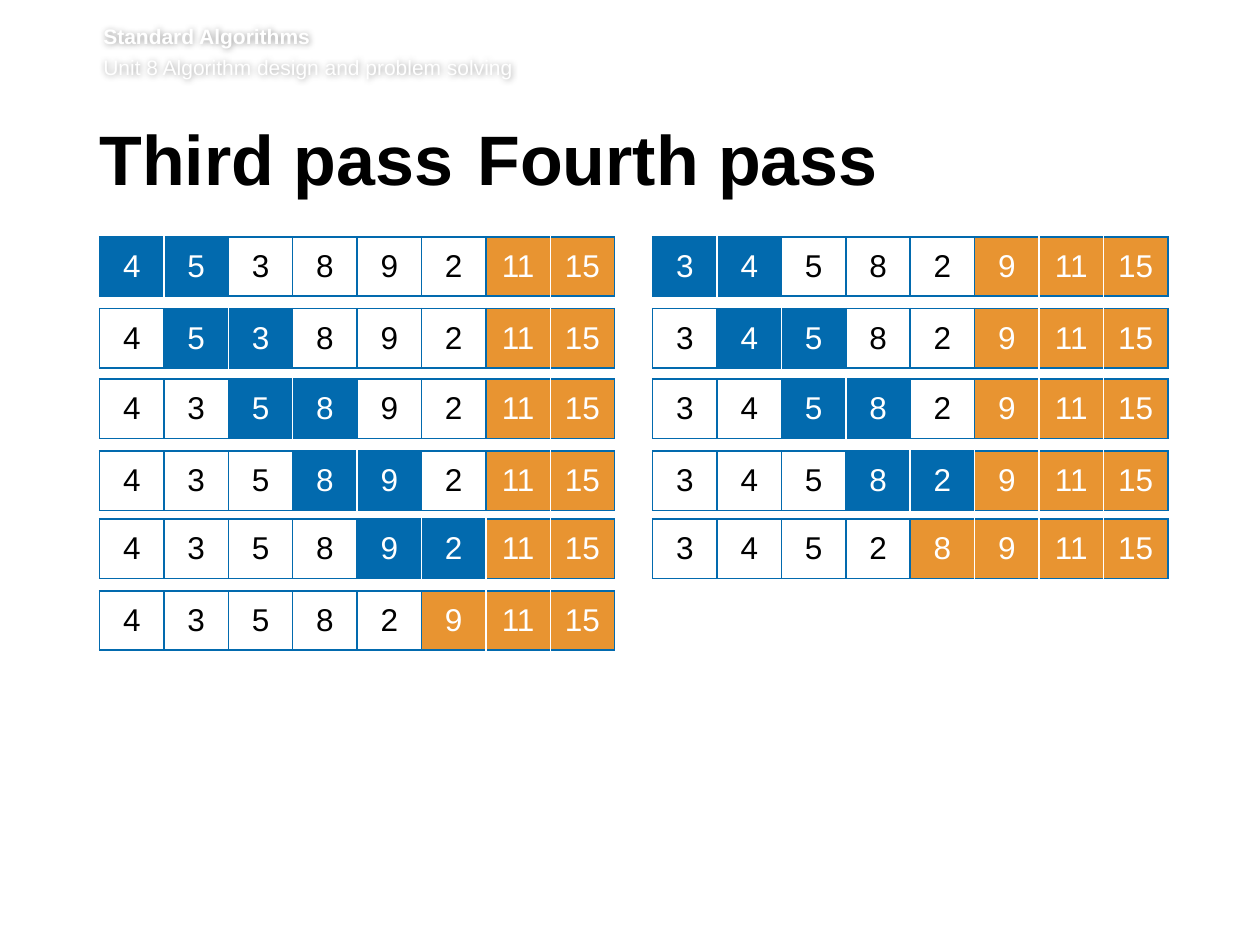
from lxml.etree import SubElement
from pptx import Presentation
from pptx.dml.color import RGBColor
from pptx.enum.text import MSO_ANCHOR, MSO_AUTO_SIZE, PP_ALIGN
from pptx.oxml import parse_xml
from pptx.oxml.ns import nsdecls, qn
from pptx.util import Inches, Pt

BLUE, ORANGE, WHITE, BLACK = "026AAE", "E89431", "FFFFFF", "000000"
ROW_TOPS = (1.88, 2.45, 3.01, 3.58, 4.12, 4.69)

# Each step: the list, the position of the compared pair, the count of sorted values.
THIRD_PASS = [
    ((4, 5, 3, 8, 9, 2, 11, 15), 0, 2),
    ((4, 5, 3, 8, 9, 2, 11, 15), 1, 2),
    ((4, 3, 5, 8, 9, 2, 11, 15), 2, 2),
    ((4, 3, 5, 8, 9, 2, 11, 15), 3, 2),
    ((4, 3, 5, 8, 9, 2, 11, 15), 4, 2),
    ((4, 3, 5, 8, 2, 9, 11, 15), None, 3),
]
FOURTH_PASS = [
    ((3, 4, 5, 8, 2, 9, 11, 15), 0, 3),
    ((3, 4, 5, 8, 2, 9, 11, 15), 1, 3),
    ((3, 4, 5, 8, 2, 9, 11, 15), 2, 3),
    ((3, 4, 5, 8, 2, 9, 11, 15), 3, 3),
    ((3, 4, 5, 2, 8, 9, 11, 15), None, 4),
]


def color(value):
    """Return the colour for a hex string."""
    return RGBColor.from_string(value)


def write(paragraph, text, size=18, fill=BLACK, bold=False, align=PP_ALIGN.LEFT,
          before=None, after=None, line=None):
    """Write formatted text into a paragraph."""
    paragraph.alignment = align
    paragraph.space_before = before
    paragraph.space_after = after
    paragraph.line_spacing = line
    run = paragraph.add_run()
    run.text = text
    run.font.name = "Arial"
    run.font.size = Pt(size)
    run.font.bold = bold
    run.font.color.rgb = color(fill)


def set_frame(frame, right=0.0, top=0.0):
    """Set the margins, wrapping and anchor of a text frame."""
    frame.margin_left, frame.margin_right = 0, Inches(right)
    frame.margin_top, frame.margin_bottom = Inches(top), Inches(0.05)
    frame.word_wrap = True
    frame.auto_size = MSO_AUTO_SIZE.NONE
    frame.vertical_anchor = MSO_ANCHOR.TOP


def add_header(slide, left, top, width, height):
    """Add the unit heading with its soft shadow."""
    box = slide.shapes.add_textbox(Inches(left), Inches(top), Inches(width), Inches(height))
    set_frame(box.text_frame)
    write(box.text_frame.paragraphs[0], "Standard Algorithms", size=12, fill=WHITE, bold=True)
    write(box.text_frame.add_paragraph(), "Unit 8 Algorithm design and problem solving",
          size=12, fill=WHITE, before=Pt(2.9))
    box.element.spPr.append(parse_xml(
        f'<a:effectLst {nsdecls("a")}><a:outerShdw blurRad="50800" dist="0" algn="ctr" '
        'rotWithShape="0"><a:srgbClr val="000000"><a:alpha val="40000"/></a:srgbClr>'
        '</a:outerShdw></a:effectLst>'))


def add_title(slide, left, top, width, height):
    """Place the title with one heading above each column."""
    title = slide.shapes.title
    title.left, title.top = Inches(left), Inches(top)
    title.width, title.height = Inches(width), Inches(height)
    set_frame(title.text_frame, right=0.1, top=0.05)
    paragraph = title.text_frame.paragraphs[0]
    write(paragraph, "Third pass\tFourth pass", size=40, bold=True,
          before=Pt(0), after=Pt(15), line=Pt(39))
    tabs = SubElement(paragraph._p.get_or_add_pPr(), qn("a:tabLst"))
    SubElement(tabs, qn("a:tab"), pos=str(Inches(3)), algn="l")


def set_borders(cell, left, right):
    """Draw blue cell borders with the given side colours."""
    properties = cell._tc.get_or_add_tcPr()
    sides = {"L": left, "R": right, "T": BLUE, "B": BLUE}
    for position, (side, line) in enumerate(sides.items()):
        properties.insert(position, parse_xml(
            f'<a:ln{side} {nsdecls("a")} w="{Pt(1)}"><a:solidFill><a:srgbClr val="{line}"/>'
            f'</a:solidFill></a:ln{side}>'))


def add_step(slide, left, top, width, height, values, pair, sorted_count):
    """Add one list as a table row, marking compared and sorted values."""
    count = len(values)
    frame = slide.shapes.add_table(1, count, Inches(left), Inches(top),
                                   Inches(width), Inches(height))
    table = frame.table
    table.first_row = table.horz_banding = False
    fills = [WHITE] * (count - sorted_count) + [ORANGE] * sorted_count
    if pair is not None:
        fills[pair:pair + 2] = [BLUE, BLUE]
    inner = [BLUE if WHITE in neighbours else WHITE for neighbours in zip(fills, fills[1:])]
    edges = [BLUE, *inner, BLUE]
    for index, (value, fill) in enumerate(zip(values, fills)):
        table.columns[index].width = Inches(width / count)
        cell = table.cell(0, index)
        cell.vertical_anchor = MSO_ANCHOR.MIDDLE
        cell.fill.solid()
        cell.fill.fore_color.rgb = color(fill)
        set_borders(cell, edges[index], edges[index + 1])
        write(cell.text_frame.paragraphs[0], str(value), align=PP_ALIGN.CENTER,
              fill=BLACK if fill == WHITE else WHITE)


def add_pass(slide, left, width, steps):
    """Stack the steps of one pass in a column."""
    for top, step in zip(ROW_TOPS, steps):
        add_step(slide, left, top, width, 0.47, *step)


def main():
    """Build and save the presentation."""
    presentation = Presentation()
    presentation.slide_width, presentation.slide_height = Inches(10), Inches(7.5)
    slide = presentation.slides.add_slide(presentation.slide_layouts[5])
    add_header(slide, 0.82, 0.19, 8.82, 0.49)
    add_title(slide, 0.79, 0.99, 8.55, 0.73)
    add_pass(slide, 5.18, 4.09, FOURTH_PASS)
    add_pass(slide, 0.79, 4.09, THIRD_PASS)
    presentation.save("out.pptx")


if __name__ == "__main__":
    main()
